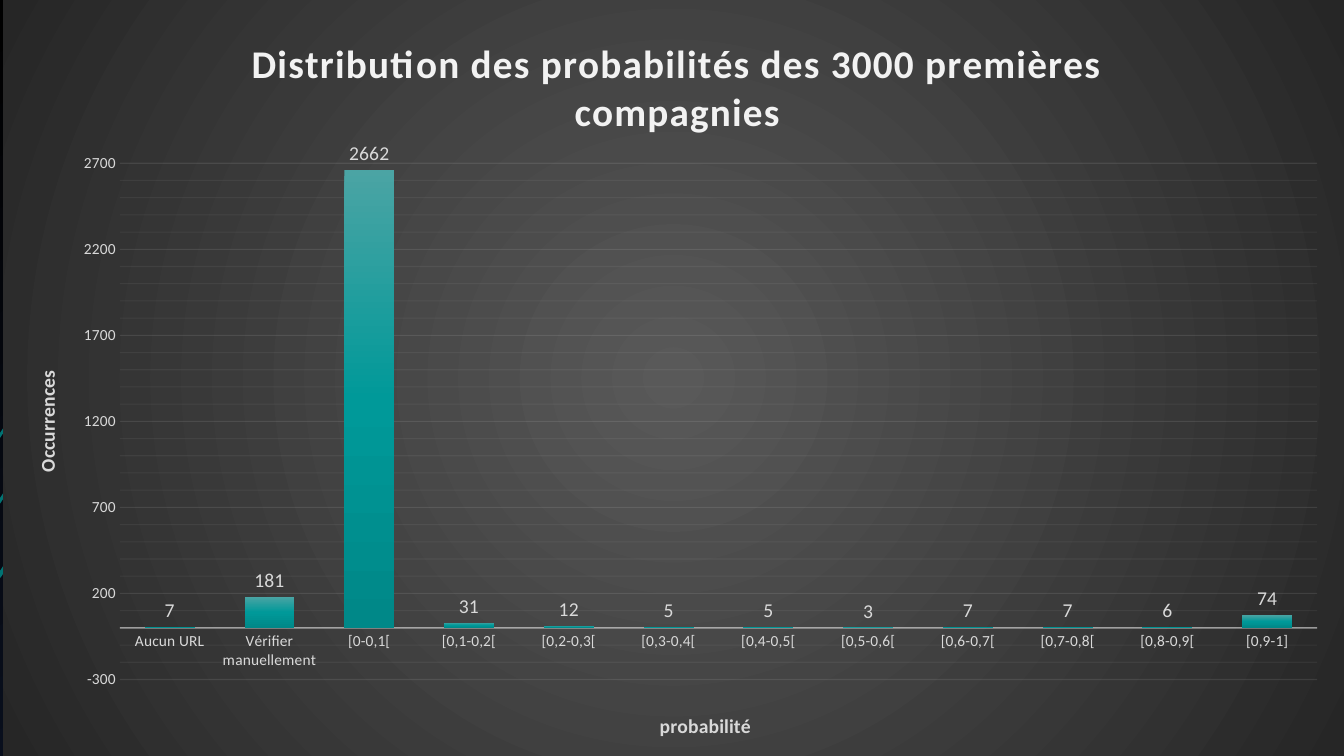
from copy import deepcopy
from dataclasses import dataclass

from pptx import Presentation
from pptx import util as u
from pptx.chart.data import CategoryChartData
from pptx.dml.color import RGBColor
from pptx.enum import chart as kinds
from pptx.oxml import parse_xml
from pptx.oxml.ns import nsdecls, qn


@dataclass(frozen=True)
class Theme:
    font: str = "Calibri"
    title_color: str = "F2F2F2"
    text_color: str = "D9D9D9"
    rule_color: str = "F2F2F2"
    trace_color: str = "007373"
    page_stops: tuple = ((0, "000000"), (85, "0F1931"), (100, "142242"))
    chart_stops: tuple = ((0, "595959"), (100, "262626"))
    bar_stops: tuple = ((0, "4BA4A4"), (50, "009999"), (100, "008888"))
    title_size: int = 28
    label_size: int = 14
    tick_size: int = 11


def gradient(stops, angle=None):
    marks = "".join(
        f'<a:gs pos="{place * 1000}"><a:srgbClr val="{color}"/></a:gs>'
        for place, color in stops
    )
    if angle is None:
        shade = ('<a:path path="circle"><a:fillToRect l="50000" t="50000" '
                 'r="50000" b="50000"/></a:path>')
    else:
        shade = f'<a:lin ang="{angle * 60000}" scaled="0"/>'
    return parse_xml(
        f'<a:gradFill {nsdecls("a")} rotWithShape="1">'
        f"<a:gsLst>{marks}</a:gsLst>{shade}</a:gradFill>"
    )


def swap_fill(properties, fill):
    properties.replace(properties.find(qn("a:solidFill")), fill)


def place(element, index, inner=False, **fractions):
    for old in element.findall(qn("c:layout")):
        element.remove(old)
    target = '<c:layoutTarget val="inner"/>' if inner else ""
    modes = '<c:xMode val="edge"/><c:yMode val="edge"/>'
    values = "".join(f'<c:{key} val="{value}"/>' for key, value in fractions.items())
    element.insert(index, parse_xml(
        f'<c:layout {nsdecls("c")}><c:manualLayout>{target}{modes}{values}'
        "</c:manualLayout></c:layout>"
    ))


class SlideBuilder:
    def __init__(self, deck, theme):
        self.theme = theme
        self.page = deck.slides.add_slide(deck.slide_layouts[6])

    def background(self):
        self.page.background.fill.solid()
        properties = self.page._element.xpath(".//p:bgPr")[0]
        swap_fill(properties, gradient(self.theme.page_stops, 60))

    def trace(self, points, width):
        corners = [(u.Cm(x), u.Cm(y)) for x, y in points]
        builder = self.page.shapes.build_freeform(*corners[0])
        builder.add_line_segments(corners[1:], close=False)
        shape = builder.convert_to_shape()
        shape.shadow.inherit = False
        shape.fill.background()
        self.line(shape.line, self.theme.trace_color, width)

    def line(self, line, color, width, opacity=100):
        line.width = u.Pt(width)
        line.color.rgb = RGBColor.from_string(color)
        if opacity < 100:
            tint = line._ln.find(".//" + qn("a:srgbClr"))
            tint.append(parse_xml(
                f'<a:alpha {nsdecls("a")} val="{opacity * 1000}"/>'
            ))

    def font(self, font, size, color, bold=False):
        font.name = self.theme.font
        font.size = u.Pt(size)
        font.bold = bold
        font.color.rgb = RGBColor.from_string(color)

    def heading(self, title, words, size, color, x, y, spacing=0):
        para = title.text_frame.paragraphs[0]
        span = para.add_run()
        span.text = words
        self.font(span.font, size, color, bold=True)
        if spacing:
            span._r.get_or_add_rPr().set("spc", str(spacing))
        place(title._element, 1, x=x, y=y)

    def axis(self, axis, words, x, y):
        axis.major_tick_mark = kinds.XL_TICK_MARK.NONE
        axis.minor_tick_mark = kinds.XL_TICK_MARK.NONE
        self.font(axis.tick_labels.font, self.theme.tick_size, self.theme.text_color)
        self.heading(axis.axis_title, words, self.theme.label_size,
                     self.theme.text_color, x, y)

    def gridlines(self, axis):
        axis.has_major_gridlines = axis.has_minor_gridlines = True
        self.line(axis.major_gridlines.format.line, self.theme.rule_color, 0.75, 10)
        major = axis._element.find(qn("c:majorGridlines"))
        minor = axis._element.find(qn("c:minorGridlines"))
        minor.append(deepcopy(major.find(qn("c:spPr"))))
        minor.find(".//" + qn("a:alpha")).set("val", "5000")

    def columns(self, title, counts, left, top, width, height):
        theme = self.theme
        data = CategoryChartData()
        data.categories = list(counts)
        data.add_series("Series 1", list(counts.values()))
        frame = self.page.shapes.add_chart(
            kinds.XL_CHART_TYPE.COLUMN_CLUSTERED,
            u.Cm(left), u.Cm(top), u.Cm(width), u.Cm(height), data,
        )
        chart = frame.chart
        self.font(chart.font, theme.tick_size, theme.text_color)
        chart.has_legend = False
        self.heading(chart.chart_title, title, theme.title_size,
                     theme.title_color, 0.18, 0.04, spacing=100)

        space = chart._chartSpace
        surface = parse_xml(f'<c:spPr {nsdecls("c", "a")}><a:ln><a:noFill/></a:ln></c:spPr>')
        surface.insert(0, gradient(theme.chart_stops))
        space.find(qn("c:txPr")).addprevious(surface)
        place(space.find(".//" + qn("c:plotArea")), 0, inner=True,
              x=0.087, y=0.216, w=0.893, h=0.683)

        self.axis(chart.category_axis, "probabilité", 0.487, 0.937)
        self.line(chart.category_axis.format.line, theme.rule_color, 1, 54)

        values = chart.value_axis
        self.axis(values, "Occurrences", 0.02, 0.485)
        values.format.line.fill.background()
        values.minimum_scale, values.maximum_scale = -300, 2700
        values.major_unit, values.minor_unit = 500, 100
        self.gridlines(values)

        plot = chart.plots[0]
        plot.gap_width, plot.overlap = 100, -24
        plot.vary_by_categories = False
        series = plot.series[0]
        series.invert_if_negative = False
        series.format.fill.solid()
        swap_fill(series._element.find(qn("c:spPr")), gradient(theme.bar_stops, 90))
        labels = series.data_labels
        labels.show_value = True
        labels.position = kinds.XL_LABEL_POSITION.OUTSIDE_END
        self.font(labels.font, theme.label_size, theme.text_color)


def main():
    deck = Presentation()
    deck.slide_width, deck.slide_height = u.Cm(33.87), u.Cm(19.05)
    slide = SlideBuilder(deck, Theme())
    slide.background()
    for start, bend, x, width in (
        (14.53, 11.05, 2.24, 3),
        (12.67, 10.36, 1.47, 2.25),
        (11.02, 9.68, 0.86, 2),
    ):
        slide.trace([(-0.03, start), (x, bend), (x, 0)], width)

    counts = {"Aucun URL": 7, "Vérifier manuellement": 181, "[0-0,1[": 2662}
    tenths = (31, 12, 5, 5, 3, 7, 7, 6)
    counts.update({f"[0,{n}-0,{n + 1}[": count for n, count in enumerate(tenths, 1)})
    counts["[0,9-1]"] = 74
    slide.columns("Distribution des probabilités des 3000 premières compagnies",
                  counts, 0.08, 0, 33.79, 19.05)
    deck.save("out.pptx")


if __name__ == "__main__":
    main()
